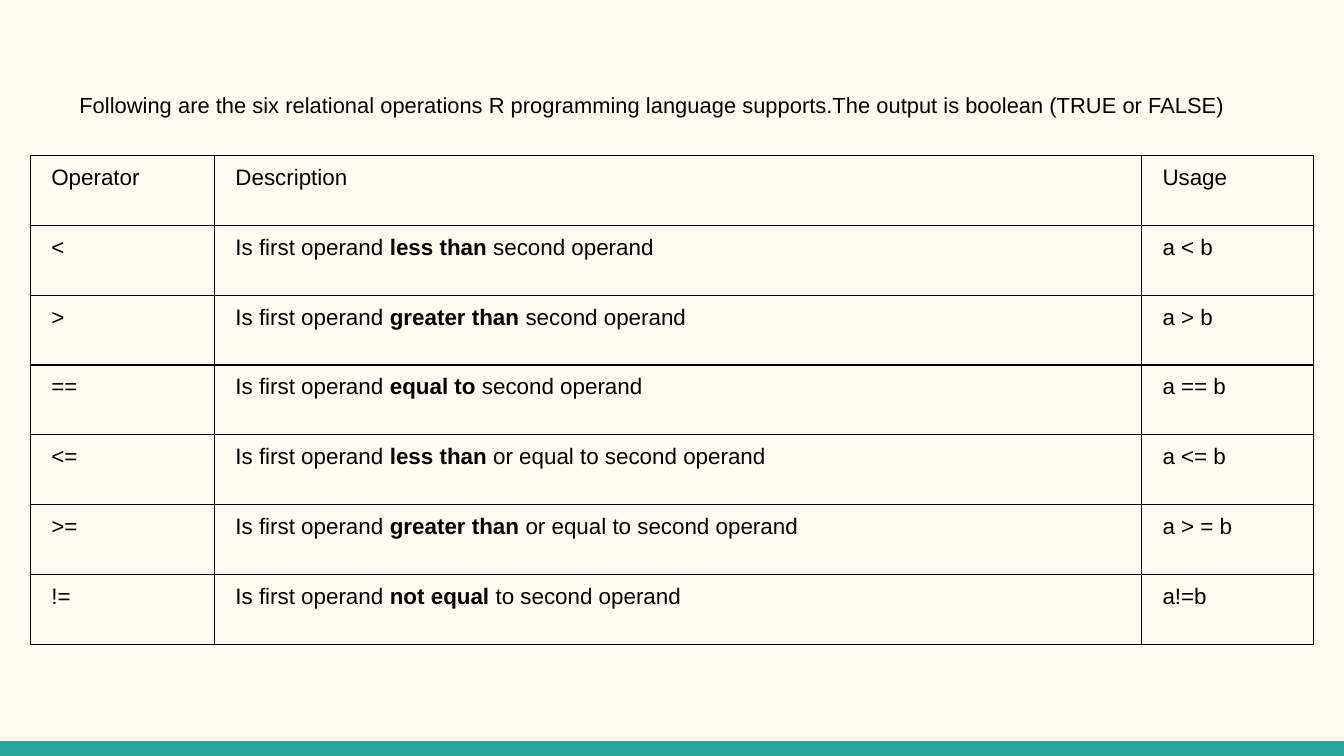
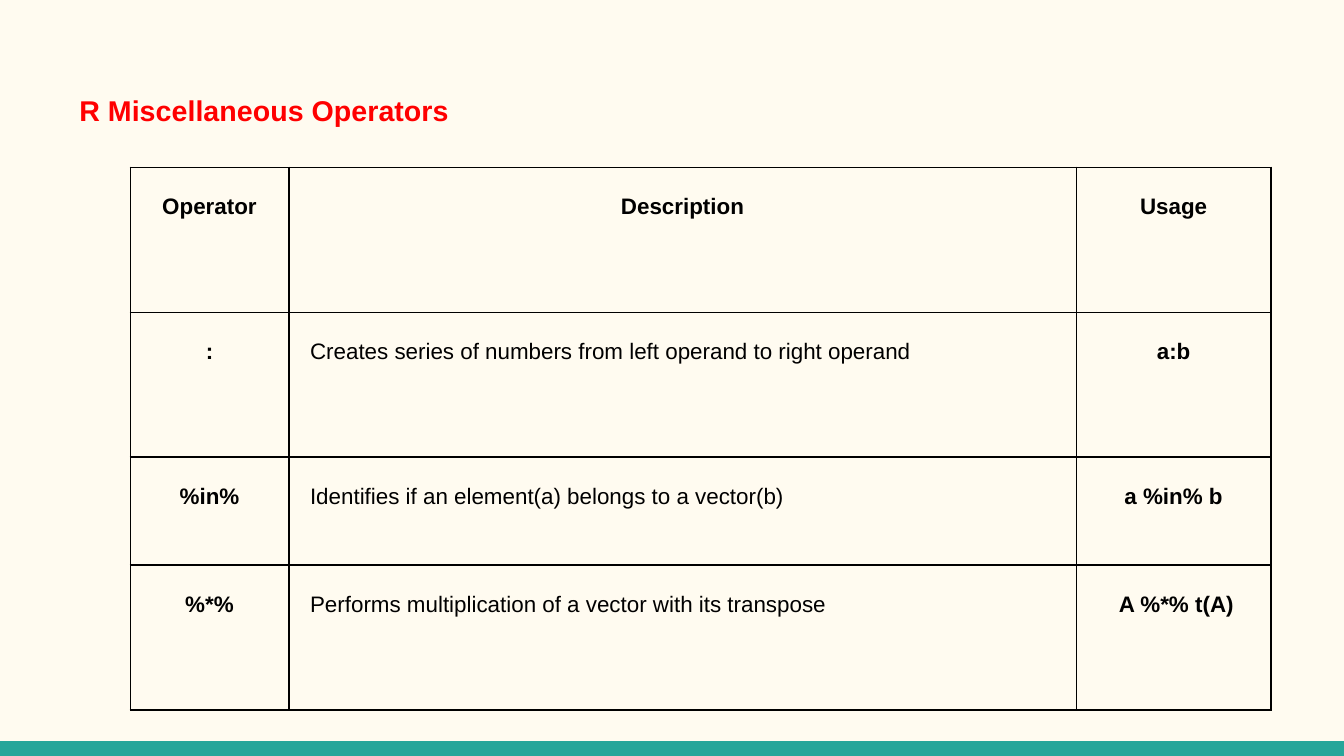
"""Build two slides on R relational and miscellaneous operators."""
from dataclasses import dataclass

from lxml.etree import SubElement
from pptx import Presentation
from pptx.dml.color import RGBColor
from pptx.enum.shapes import MSO_SHAPE
from pptx.enum.text import MSO_ANCHOR, MSO_AUTO_SIZE, PP_ALIGN
from pptx.oxml.ns import qn
from pptx.util import Cm, Pt

HEADER = ("Operator", "Description", "Usage")
SLIDES = [
    {
        "title": "Following are the six relational operations R programming language "
                 "supports.The output is boolean (TRUE or FALSE) ",
        "title_style": dict(size=11.7, color="000000", bold=False, align=PP_ALIGN.JUSTIFY,
                            spacing=1.5, before=13, after=13),
        "rows": [
            HEADER,
            ("<", "Is first operand |less than| second operand", "a < b"),
            (">", "Is first operand |greater than| second operand", "a > b"),
            ("==", "Is first operand |equal to| second operand", "a == b"),
            ("<=", "Is first operand |less than| or equal to second operand", "a <= b"),
            (">=", "Is first operand |greater than| or equal to second operand", "a > = b"),
            ("!=", "Is first operand |not equal| to second operand", "a!=b"),
        ],
        "corner": (0.57, 2.94),
        "widths": (3.48, 17.52, 3.25),
        "heights": (1.32,) * 7,
        "strong_labels": False,
        "cell_spacing": dict(spacing=1, before=0, after=19),
    },
    {
        "title": "R Miscellaneous Operators",
        "title_style": dict(size=15.3, color="FF0000", bold=True, align=PP_ALIGN.LEFT,
                            spacing=1.4, before=17, after=0),
        "rows": [
            HEADER,
            (":", "Creates series of numbers from left operand to right operand", "a:b"),
            ("%in%", "Identifies if an element(a) belongs to a vector(b)", "a %in% b"),
            ("%*%", "Performs multiplication of a vector with its transpose", " A %*% t(A)"),
        ],
        "corner": (2.46, 3.16),
        "widths": (3, 14.88, 3.68),
        "heights": (2.74, 2.74, 2.04, 2.74),
        "strong_labels": True,
        "cell_spacing": dict(spacing=1.69, before=8, after=27),
    },
]


@dataclass(frozen=True)
class Theme:
    font: str = "Arial"
    paper: str = "FFFBF0"
    band: str = "26A69A"
    ink: str = "000000"
    cell_size: float = 12
    border: float = 0.75
    width: float = 25.4
    height: float = 14.29
    band_height: float = 0.28


THEME = Theme()


def style_font(font, size, color, bold):
    font.name, font.size, font.bold = THEME.font, Pt(size), bold
    font.color.rgb = RGBColor.from_string(color)


def style_paragraph(paragraph, align, spacing, before, after):
    paragraph.alignment, paragraph.line_spacing = align, spacing
    paragraph.space_before, paragraph.space_after = Pt(before), Pt(after)


def style_master(prs, slide):
    """Give the master its paper colour and bottom band."""
    master = prs.slide_master
    master.background.fill.solid()
    master.background.fill.fore_color.rgb = RGBColor.from_string(THEME.paper)
    band = slide.shapes.add_shape(
        MSO_SHAPE.RECTANGLE, 0, Cm(THEME.height - THEME.band_height),
        Cm(THEME.width), Cm(THEME.band_height))
    band.shadow.inherit = False
    band.fill.solid()
    band.fill.fore_color.rgb = RGBColor.from_string(THEME.band)
    band.line.fill.background()
    master.shapes.element.insert(2, band.element)


def write_title(slide, text, size, color, bold, **paragraph_style):
    title = slide.shapes.title
    title.left, title.top, title.width, title.height = Cm(0.87), Cm(1.24), Cm(23.67), Cm(1.7)
    frame = title.text_frame
    frame.text = text
    frame.word_wrap, frame.auto_size = True, MSO_AUTO_SIZE.NONE
    frame.vertical_anchor = MSO_ANCHOR.TOP
    frame.margin_left = frame.margin_right = frame.margin_top = frame.margin_bottom = Cm(0.25)
    paragraph = frame.paragraphs[0]
    style_paragraph(paragraph, **paragraph_style)
    properties = paragraph._p.get_or_add_pPr()
    properties.set("marL", str(Cm(0.38)))
    properties.set("indent", "0")
    style_font(paragraph.runs[0].font, size, color, bold)


def draw_borders(cell):
    properties = cell._tc.get_or_add_tcPr()
    for side in ("lnL", "lnR", "lnT", "lnB"):
        line = SubElement(properties, qn(f"a:{side}"), w=str(Pt(THEME.border)))
        fill = SubElement(line, qn("a:solidFill"))
        SubElement(fill, qn("a:srgbClr"), val=THEME.ink)


def write_cell(cell, text, strong, spacing):
    """Fill one cell; text between bars is bold."""
    cell.margin_left = cell.margin_right = Cm(0.4)
    cell.margin_top = cell.margin_bottom = Cm(0.18)
    draw_borders(cell)
    cell.fill.background()
    paragraph = cell.text_frame.paragraphs[0]
    style_paragraph(paragraph, PP_ALIGN.CENTER if strong else PP_ALIGN.LEFT, **spacing)
    for index, part in enumerate(text.split("|")):
        run = paragraph.add_run()
        run.text = part
        style_font(run.font, THEME.cell_size, THEME.ink, strong or index % 2 == 1)


def add_operators(slide, content):
    rows, widths, heights = content["rows"], content["widths"], content["heights"]
    left, top = content["corner"]
    operators = slide.shapes.add_table(
        len(rows), len(widths), Cm(left), Cm(top), Cm(sum(widths)), Cm(sum(heights))).table
    operators.first_row = operators.horz_banding = False
    for column, width in zip(operators.columns, widths):
        column.width = Cm(width)
    for row, height in zip(operators.rows, heights):
        row.height = Cm(height)
    for r, texts in enumerate(rows):
        for c, text in enumerate(texts):
            is_label = r == 0 or c != 1
            write_cell(operators.cell(r, c), text,
                       content["strong_labels"] and is_label, content["cell_spacing"])


def main():
    prs = Presentation()
    prs.slide_width, prs.slide_height = Cm(THEME.width), Cm(THEME.height)
    for number, content in enumerate(SLIDES):
        slide = prs.slides.add_slide(prs.slide_layouts[5])
        if number == 0:
            style_master(prs, slide)
        write_title(slide, content["title"], **content["title_style"])
        add_operators(slide, content)
    prs.save("out.pptx")


if __name__ == "__main__":
    main()
